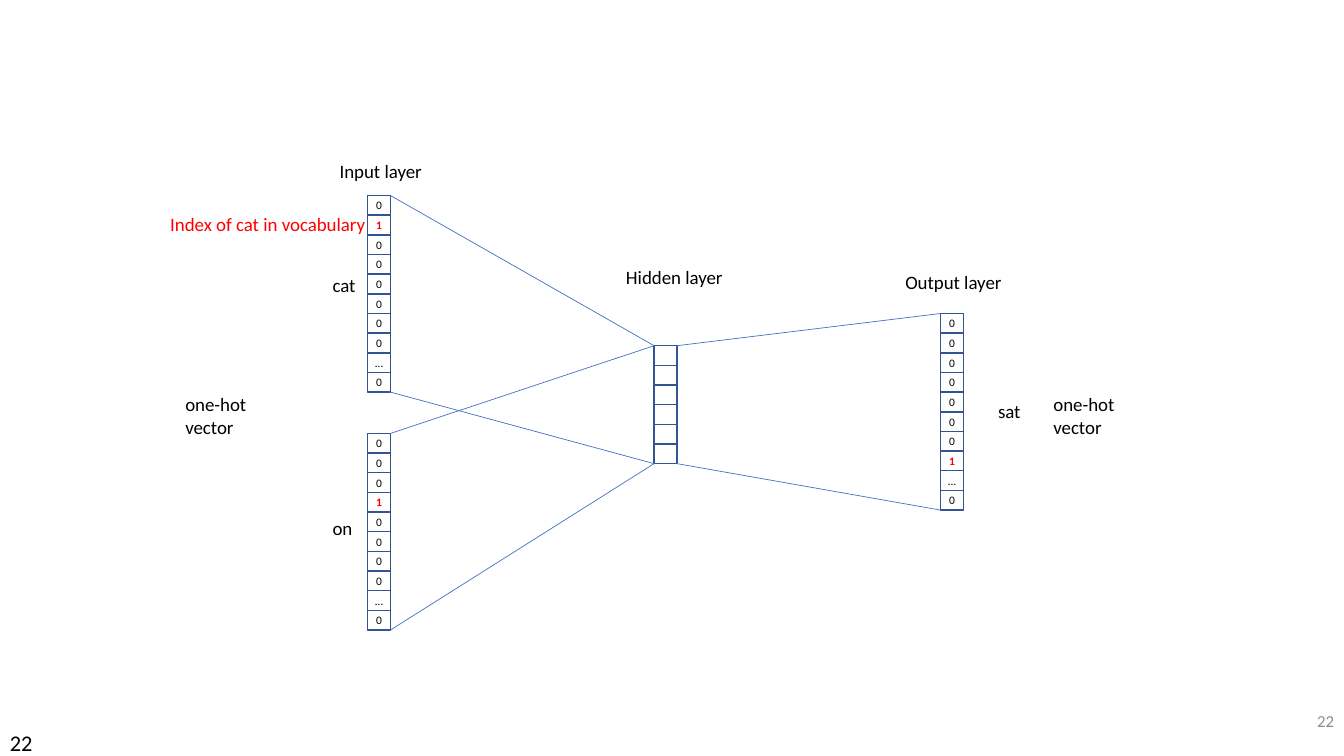
"""Build a slide of a word-prediction network with one-hot input and output vectors."""
import pptx
import pptx.dml.color
import pptx.enum.shapes
import pptx.enum.text
import pptx.oxml
import pptx.oxml.ns
import pptx.util

ALIGN = pptx.enum.text.PP_ALIGN
ANCHOR = pptx.enum.text.MSO_ANCHOR
AUTO_SIZE = pptx.enum.text.MSO_AUTO_SIZE

THEME = {
    "font": "Calibri",
    "ink": pptx.dml.color.RGBColor.from_string("000000"),
    "hot": pptx.dml.color.RGBColor.from_string("FF0000"),
    "muted": pptx.dml.color.RGBColor.from_string("8C8C8C"),
    "cell_line": pptx.dml.color.RGBColor.from_string("325491"),
    "link_line": pptx.dml.color.RGBColor.from_string("4472C4"),
    "cell_size": 8.2,
    "label_size": 13.5,
    "number_size": 12,
    "corner_size": 16,
}

presentation = pptx.Presentation()
presentation.slide_width = pptx.util.Inches(13.33)
presentation.slide_height = pptx.util.Inches(7.5)
slide = presentation.slides.add_slide(presentation.slide_layouts[6])


def place(left, top, *size):
    """Turn percentages of the slide into lengths, alternating across and down."""
    sides = (presentation.slide_width, presentation.slide_height)
    return [round(share * sides[index % 2] / 100) for index, share in enumerate((left, top, *size))]


def write(shape, text, size, color, frame_format, align=ALIGN.LEFT, bold=False):
    """Fill a shape with styled text, one paragraph per line."""
    frame = shape.text_frame
    frame.text = text
    for name, value in frame_format.items():
        setattr(frame, name, value)
    font_format = {"name": THEME["font"], "size": pptx.util.Pt(size), "bold": bold}
    for paragraph in frame.paragraphs:
        paragraph.alignment = align
        for run in paragraph.runs:
            for name, value in font_format.items():
                setattr(run.font, name, value)
            run.font.color.rgb = THEME[color]


CELL_FORMAT = {
    "margin_left": 0, "margin_right": 0, "margin_top": 0, "margin_bottom": 0,
    "word_wrap": False, "vertical_anchor": ANCHOR.MIDDLE,
}
LABEL_FORMAT = {"word_wrap": False, "auto_size": AUTO_SIZE.SHAPE_TO_FIT_TEXT}

CELL_WIDTH, CELL_HEIGHT = 1.7, 2.6
FIRST_LAYER, LAYER_STEP = 27.36, 21.31

vectors = {
    "cat": (0, 25.87, "01000000…0"),
    "on": (0, 57.33, "00010000…0"),
    "hidden": (1, 45.73, " " * 6),
    "sat": (2, 41.47, "00000001…0"),
}
edges = {}
for word, (layer, top, values) in vectors.items():
    left = FIRST_LAYER + layer * LAYER_STEP
    edges[word] = (left, left + CELL_WIDTH, top, top + len(values) * CELL_HEIGHT)
    group = slide.shapes.add_group_shape()
    for row, value in enumerate(values):
        cell = group.shapes.add_shape(
            pptx.enum.shapes.MSO_SHAPE.RECTANGLE,
            *place(left, top + row * CELL_HEIGHT, CELL_WIDTH, CELL_HEIGHT),
        )
        cell.shadow.inherit = False
        cell.fill.background()
        cell.line.color.rgb = THEME["cell_line"]
        cell.line.width = pptx.util.Pt(1)
        hot = value == "1"
        write(cell, value.strip(), THEME["cell_size"], "hot" if hot else "ink",
              CELL_FORMAT, ALIGN.CENTER, hot)

for source, target in (("cat", "hidden"), ("on", "hidden"), ("hidden", "sat")):
    start, end = edges[source], edges[target]
    for side in (2, 3):
        link = slide.shapes.add_connector(
            pptx.enum.shapes.MSO_CONNECTOR.STRAIGHT,
            *place(start[1], start[side], end[0], end[side]),
        )
        link.line.color.rgb = THEME["link_line"]
        link.line.width = pptx.util.Pt(0.5)
        link._element.spPr.append(pptx.oxml.parse_xml(
            "<a:effectLst %s/>" % pptx.oxml.ns.nsdecls("a")))

LINE_HEIGHT, PAIR_HEIGHT = 4.4, 7.47
labels = [
    ("Input layer", 24.53, 20.4, 7.73, LINE_HEIGHT, "ink"),
    ("Hidden layer", 45.84, 34.53, 8.85, LINE_HEIGHT, "ink"),
    ("Output layer", 66.62, 35.2, 8.78, LINE_HEIGHT, "ink"),
    ("cat", 24.01, 35.6, 3.23, LINE_HEIGHT, "ink"),
    ("on", 24.01, 67.73, 3, LINE_HEIGHT, "ink"),
    ("sat", 73.52, 52.27, 3.23, LINE_HEIGHT, "ink"),
    ("one-hot\nvector", 13.05, 51.33, 6.15, PAIR_HEIGHT, "ink"),
    ("one-hot\nvector", 77.64, 51.33, 6.15, PAIR_HEIGHT, "ink"),
    ("Index of cat in vocabulary", 11.93, 27.47, 16.28, LINE_HEIGHT, "hot"),
]
for text, left, top, width, height, color in labels:
    box = slide.shapes.add_textbox(*place(left, top, width, height))
    write(box, text, THEME["label_size"], color, LABEL_FORMAT)

slide_numbers = [
    ((0, 95.73, 4.88, 4), "corner_size", "ink", ANCHOR.TOP, ALIGN.LEFT),
    ((77.49, 92.67, 22.51, 5.33), "number_size", "muted", ANCHOR.MIDDLE, ALIGN.RIGHT),
]
for area, size, color, anchor, align in slide_numbers:
    box = slide.shapes.add_textbox(*place(*area))
    write(box, "22", THEME[size], color, {"word_wrap": True, "vertical_anchor": anchor}, align)

presentation.save("out.pptx")
